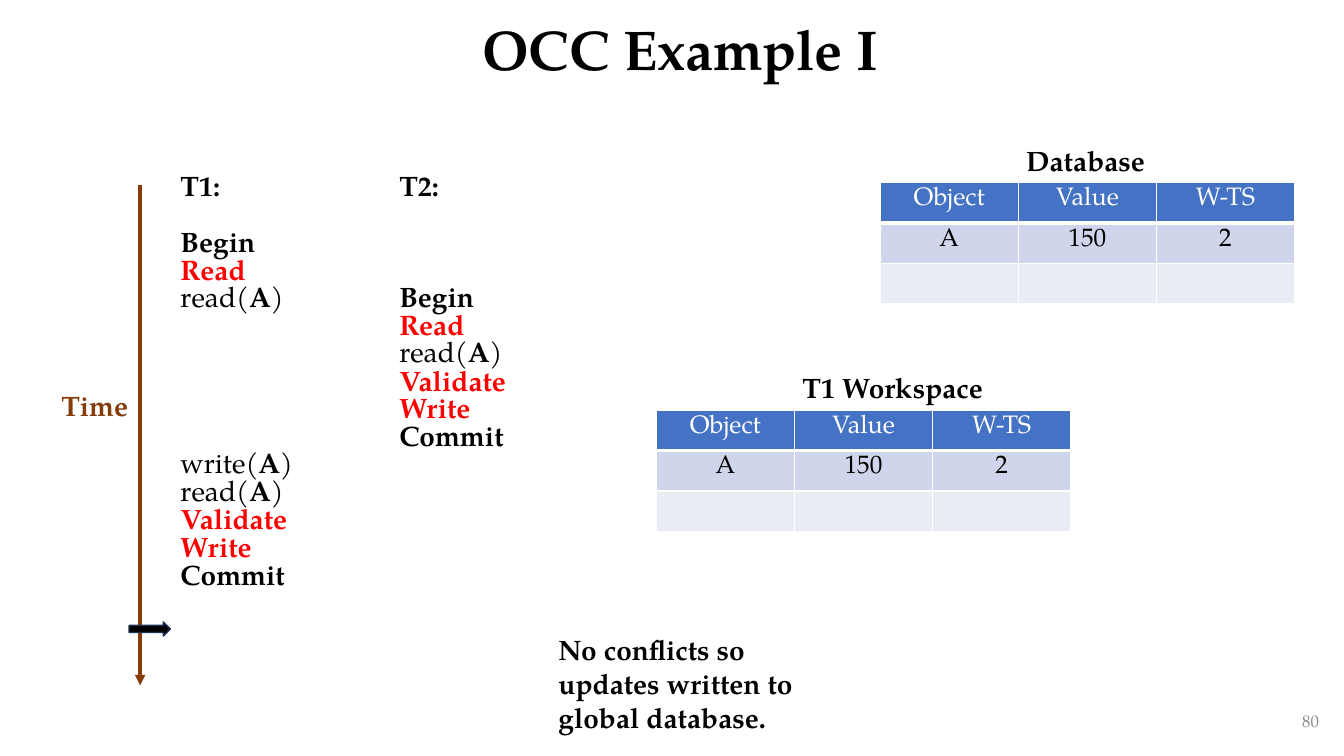
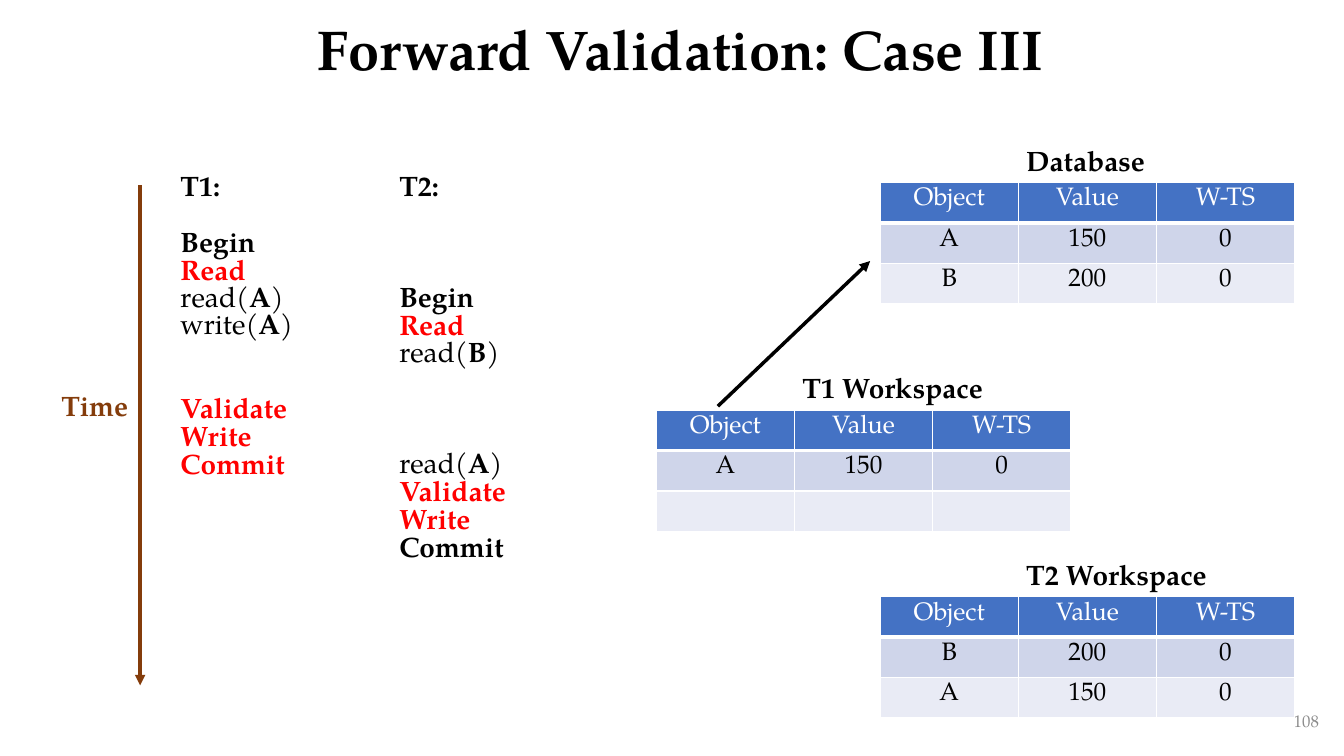
from lxml.etree import SubElement
from pptx import Presentation
from pptx.dml.color import RGBColor
from pptx.enum.shapes import MSO_CONNECTOR, MSO_SHAPE
from pptx.enum.text import MSO_ANCHOR, PP_ALIGN
from pptx.oxml import parse_xml
from pptx.oxml.ns import nsdecls, qn
from pptx.util import Inches, Pt

BLACK = RGBColor(0x00, 0x00, 0x00)
WHITE = RGBColor(0xFF, 0xFF, 0xFF)
RED = RGBColor(0xFF, 0x00, 0x00)
BROWN = RGBColor(0x84, 0x3C, 0x0B)
GREY = RGBColor(0x8C, 0x8C, 0x8C)
NAVY = RGBColor(0x1E, 0x32, 0x56)
HEADER_FILL = RGBColor(0x44, 0x72, 0xC4)
BAND_FILLS = (RGBColor(0xCF, 0xD5, 0xEA), RGBColor(0xE9, 0xEB, 0xF5))
FONT = "TeX Gyre Pagella"
LINE_PITCH = 19.8
HEADINGS = ("Object", "Value", "W-TS")
EMPTY_ROW = ("", "", "")


class Deck:
    def __init__(self):
        self.prs = Presentation()
        self.prs.slide_width = Inches(13.33)
        self.prs.slide_height = Inches(7.5)
        self.s = None

    def slide(self, title, number):
        self.s = self.prs.slides.add_slide(self.prs.slide_layouts[6])
        self.text(str(number), 10.18, 6.95, 3, 0.4, 12, GREY, False,
                  PP_ALIGN.RIGHT, MSO_ANCHOR.MIDDLE)
        sp = self.text(title, 1, 0.02, 11.5, 0.99, 40, align=PP_ALIGN.CENTER,
                       anchor=MSO_ANCHOR.MIDDLE)
        sp.text_frame.paragraphs[0].line_spacing = 0.9

    def style(self, r, size=20, color=BLACK, bold=True):
        r.font.name = FONT
        r.font.size = Pt(size)
        r.font.color.rgb = color
        r.font.bold = bold

    def text(self, text, x, y, w, h, size=20, color=BLACK, bold=True,
             align=PP_ALIGN.LEFT, anchor=MSO_ANCHOR.TOP, wrap=True, shapes=None):
        shapes = self.s.shapes if shapes is None else shapes
        sp = shapes.add_textbox(Inches(x), Inches(y), Inches(w), Inches(h))
        tf = sp.text_frame
        tf.word_wrap = wrap
        tf.vertical_anchor = anchor
        tf.text = text
        p = tf.paragraphs[0]
        p.alignment = align
        self.style(p.runs[0], size, color, bold)
        return sp

    def arrow(self, x1, y1, x2, y2, color=BLACK, shapes=None):
        shapes = self.s.shapes if shapes is None else shapes
        line = shapes.add_connector(MSO_CONNECTOR.STRAIGHT, Inches(x1), Inches(y1),
                                    Inches(x2), Inches(y2))
        line.line.color.rgb = color
        line.line.width = Pt(2.5)
        SubElement(line.line._get_or_add_ln(), qn("a:tailEnd"), type="triangle")
        SubElement(line._element.spPr, qn("a:effectLst"))

    def time_axis(self):
        group = self.s.shapes.add_group_shape()
        self.arrow(1.39, 1.84, 1.39, 6.8, BROWN, group.shapes)
        self.text("Time", 0.51, 3.81, 0.89, 0.44, color=BROWN, shapes=group.shapes)

    def time_marker(self, x, y):
        sp = self.s.shapes.add_shape(MSO_SHAPE.RIGHT_ARROW, Inches(x), Inches(y),
                                     Inches(0.41), Inches(0.14))
        sp.shadow.inherit = False
        sp.fill.solid()
        sp.fill.fore_color.rgb = BLACK
        sp.line.color.rgb = NAVY
        sp.line.width = Pt(1)

    def plain_table(self, rows, widths, x, y, h):
        frame = self.s.shapes.add_table(rows, len(widths), Inches(x), Inches(y),
                                        Inches(sum(widths)), Inches(h))
        table = frame.table
        table.first_row = False
        table.horz_banding = False
        for column, width in zip(table.columns, widths):
            column.width = Inches(width)
        return table

    def step(self, p, text):
        if text.startswith("*"):
            p.text = text[1:]
            self.style(p.runs[0], color=RED)
        elif "(" in text:
            call, item = text.rstrip(")").split("(")
            for part, bold in ((call + "(", False), (item, True), (")", False)):
                r = p.add_run()
                r.text = part
                self.style(r, bold=bold)
        else:
            p.text = text
            self.style(p.runs[0])

    def schedule(self, h, *transactions):
        table = self.plain_table(1, (2.17, 2.05), 1.69, 1.7, h)
        for cell, steps in zip(table.rows[0].cells, transactions):
            cell.fill.background()
            tf = cell.text_frame
            p, gap = tf.paragraphs[0], 0
            for i, item in enumerate(steps):
                if isinstance(item, int):
                    gap = item
                    continue
                if i:
                    p = tf.add_paragraph()
                p.line_spacing = Pt(LINE_PITCH)
                p.space_before = Pt(gap * LINE_PITCH)
                self.step(p, item)
                gap = 0

    def borders(self, cell, row):
        heavy = {0: "B", 1: "T"}.get(row)
        tc_pr = cell._tc.get_or_add_tcPr()
        for i, side in enumerate("LRTB"):
            width = Pt(3 if side == heavy else 1)
            tc_pr.insert(i, parse_xml(
                f'<a:ln{side} {nsdecls("a")} w="{width}"><a:solidFill>'
                f'<a:srgbClr val="{WHITE}"/></a:solidFill></a:ln{side}>'))

    def data_table(self, title, title_width, x, y, *records):
        rows = (HEADINGS,) + records
        table = self.plain_table(len(rows), (1.37,) * 3, x, y, 0.4 * len(rows))
        for i, values in enumerate(rows):
            for cell, value in zip(table.rows[i].cells, values):
                cell.fill.solid()
                cell.fill.fore_color.rgb = BAND_FILLS[(i - 1) % 2] if i else HEADER_FILL
                self.borders(cell, i)
                p = cell.text_frame.paragraphs[0]
                p.alignment = PP_ALIGN.CENTER
                if value:
                    p.text = value
                    self.style(p.runs[0], 18, BLACK if i else WHITE, False)
        self.text(title, x + 1.35, y - 0.44, title_width, 0.44, wrap=False)

    def database(self, *records):
        self.data_table("Database", 1.39, 8.73, 1.81, *records)

    def t1_workspace(self, *records):
        self.data_table("T1 Workspace", 2, 6.51, 4.07, *records)

    def t2_workspace(self, *records):
        self.data_table("T2 Workspace", 2, 8.73, 5.92, *records)


def main():
    deck = Deck()

    deck.slide("OCC Example I", 80)
    deck.schedule(
        5.1,
        ["T1:", 1, "Begin", "*Read", "read(A)", 5, "write(A)", "read(A)",
         "*Validate", "*Write", "Commit"],
        ["T2:", 3, "Begin", "*Read", "read(A)", "*Validate", "*Write", "Commit"])
    deck.time_axis()
    deck.database(("A", "150", "2"), EMPTY_ROW)
    deck.t1_workspace(("A", "150", "2"), EMPTY_ROW)
    deck.time_marker(1.28, 6.17)
    deck.text("No conflicts so updates written to global database.",
              5.44, 6.23, 2.85, 1.11)

    deck.slide("Forward Validation: Case III", 108)
    deck.schedule(
        4.77,
        ["T1:", 1, "Begin", "*Read", "read(A)", "write(A)", 2,
         "*Validate", "*Write", "*Commit"],
        ["T2:", 3, "Begin", "*Read", "read(B)", 3, "read(A)",
         "*Validate", "*Write", "Commit"])
    deck.time_axis()
    deck.database(("A", "150", "0"), ("B", "200", "0"))
    deck.t1_workspace(("A", "150", "0"), EMPTY_ROW)
    deck.t2_workspace(("B", "200", "0"), ("A", "150", "0"))
    deck.arrow(7.12, 4.03, 8.63, 2.59)

    deck.prs.save("out.pptx")


if __name__ == "__main__":
    main()
